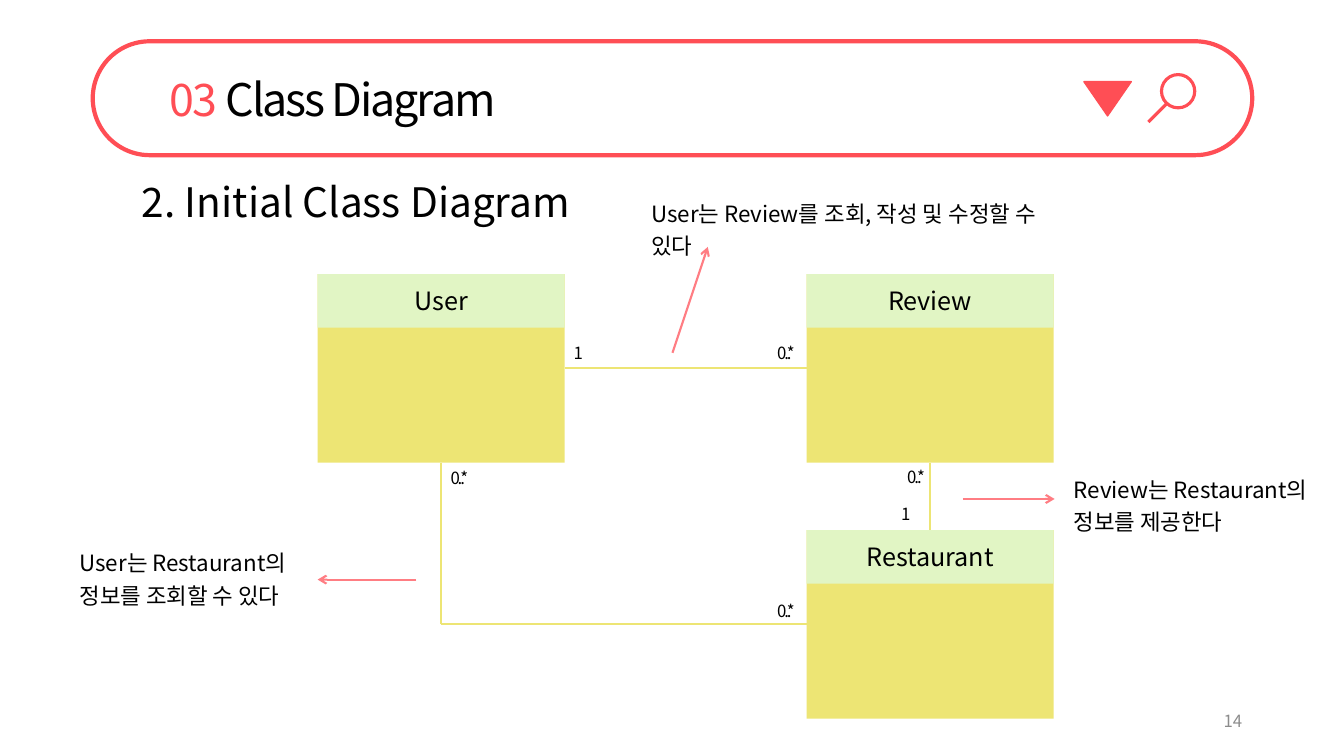
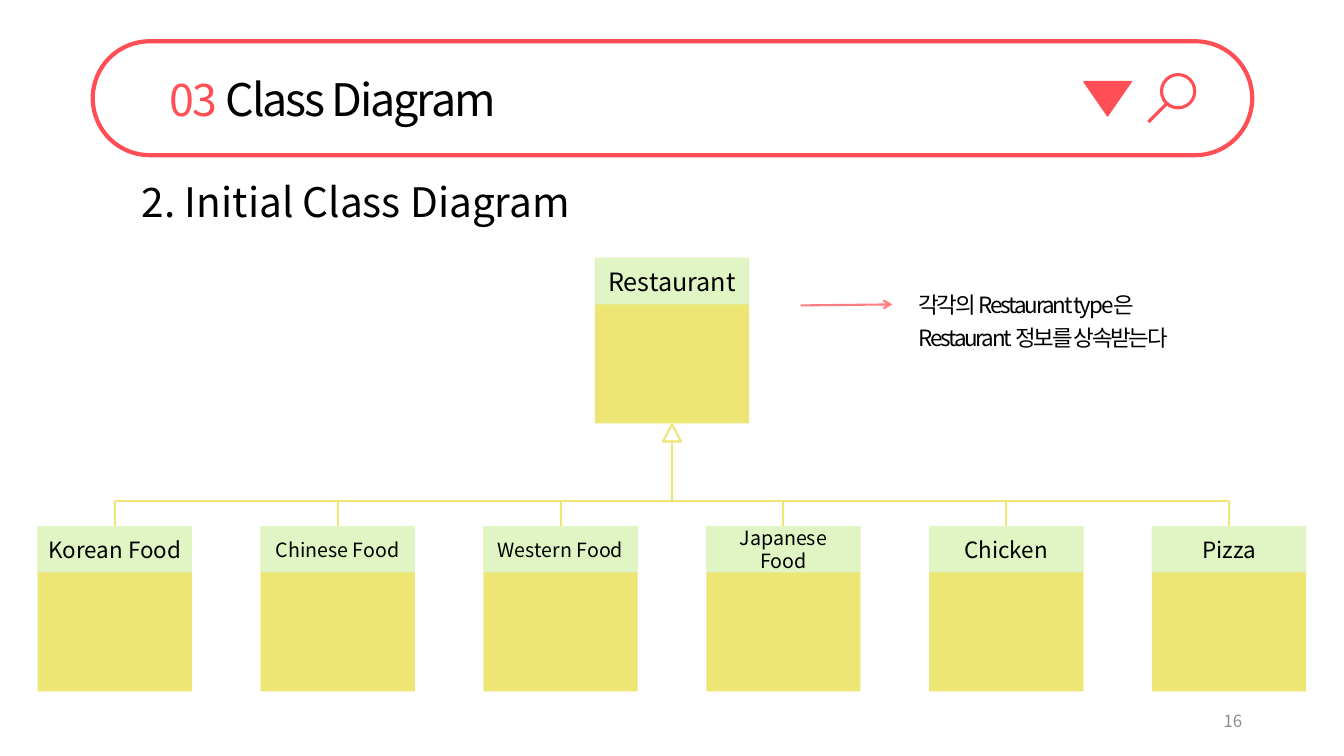
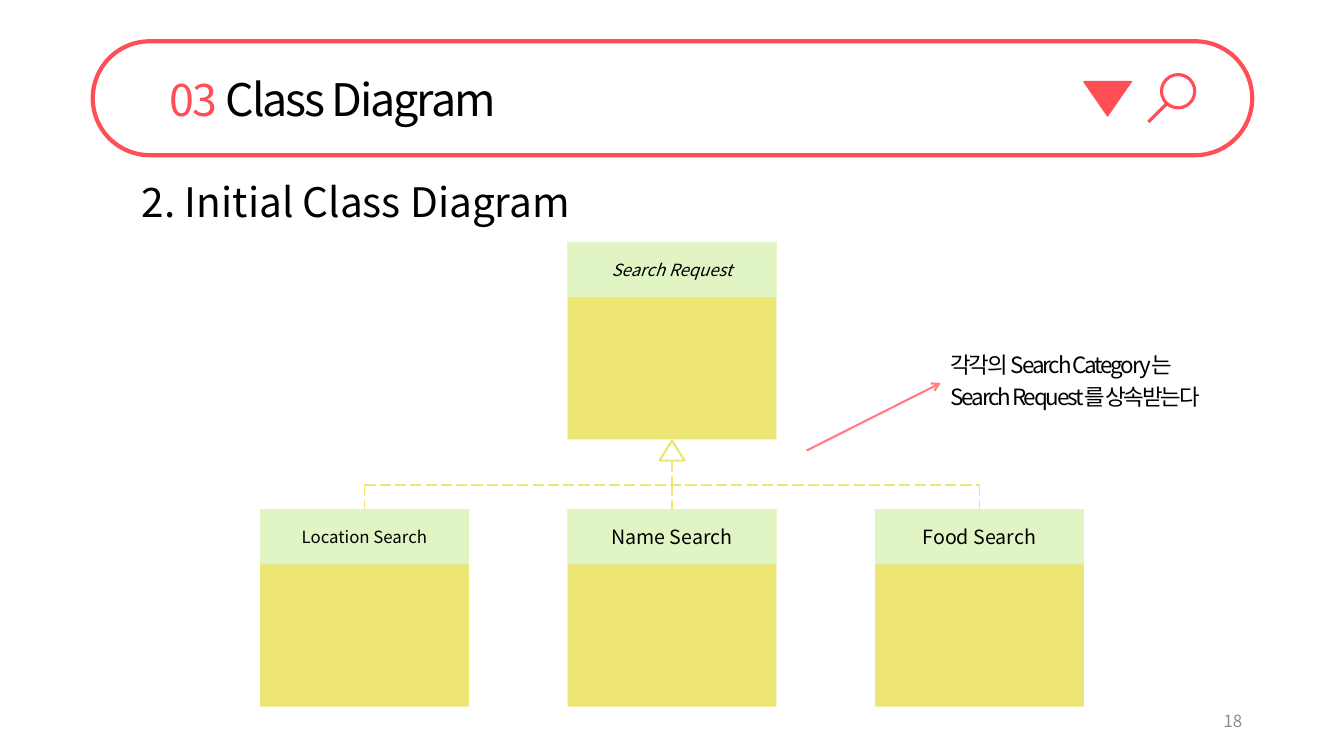
from lxml import etree
from pptx import Presentation
from pptx.dml.color import RGBColor
from pptx.enum.dml import MSO_LINE_DASH_STYLE as DASH
from pptx.enum.shapes import MSO_CONNECTOR, MSO_SHAPE as SHAPE
from pptx.enum.text import MSO_ANCHOR as ANCHOR, PP_ALIGN as ALIGN
from pptx.oxml.ns import qn
from pptx.util import Inches, Pt

W, H = 13.33, 7.5
FONT = "Noto Sans CJK KR"
RED, PINK, GREY, BLACK = "FF4E55", "FF7D83", "8C8C8C", "000000"
YELLOW, GREEN = "EDE574", "E1F5C4"
TIGHT = -1.5

# Content
CHAPTER, TITLE = "03", " Class Diagram"
HEADING = "2. Initial Class Diagram"

COLS, ROWS = (3.15, 8), (2.72, 5.26)
BOX_W, BOX_H, BOX_HEAD = 2.45, 1.87, 0.53
CLASSES = [("User", 0, 0), ("Review", 1, 0), ("Restaurant", 1, 1)]  # name, column, row
MULTIPLICITIES = [  # text, left, top
    ("1", 5.59, 3.35), ("0..*", 7.61, 3.35), ("0..*", 4.37, 4.59),
    ("0..*", 7.61, 5.91), ("0..*", 8.9, 4.58), ("1", 8.84, 4.95),
]
RELATIONS = [  # text, box, arrow from, arrow to
    ("User는 Review를 조회, 작성 및 수정할 수 있다",
     (6.36, 1.88, 4.39, 0.68), (6.67, 3.5), (7.02, 2.45)),
    ("Review는 Restaurant의 정보를 제공한다",
     (10.55, 4.62, 2.61, 0.81), (9.55, 4.95), (10.46, 4.95)),
    ("User는 Restaurant의 정보를 조회할 수 있다",
     (0.69, 5.35, 2.45, 0.8), (4.13, 5.75), (3.15, 5.75)),
]

TREES = [
    dict(page=16, parent=("Restaurant", 18), italic=False,
         children=[("Korean Food", 16), ("Chinese Food", 14), ("Western Food", 14),
                   ("Japanese Food", 14), ("Chicken", 16), ("Pizza", 16)],
         box=(1.53, 1.64, 0.46), tops=(2.56, 5.22), pitch=2.21, bar=4.97,
         tip=(0.18, 0.17), line=dict(width=1.5),
         note=("각각의 Restaurant type은 Restaurant 정보를 상속받는다",
               (9.01, 2.79, 2.84, 0.75), (7.94, 3.03), (8.85, 3.02))),
    dict(page=18, parent=("Search Request", 12), italic=True,
         children=[("Location Search", 12), ("Name Search", 14), ("Food Search", 14)],
         box=(2.07, 1.96, 0.55), tops=(2.4, 5.05), pitch=3.05, bar=4.81,
         tip=(0.25, 0.2), line=dict(width=1, dash=True),
         note=("각각의 Search Category는 Search Request를 상속받는다",
               (9.33, 3.38, 2.84, 0.75), (8, 4.47), (9.33, 3.8))),
]


# Helpers
def rgb(color):
    return RGBColor.from_string(color)


def write(sp, text, size=16, color=BLACK, align=ALIGN.LEFT, anchor=ANCHOR.TOP,
          spacing=None, italic=False, leading=None):
    """Add one run of text to the shape's first paragraph."""
    tf = sp.text_frame
    tf.word_wrap, tf.vertical_anchor = True, anchor
    p = tf.paragraphs[0]
    p.alignment = align
    if leading:
        p.line_spacing = leading
    r = p.add_run()
    r.text = text
    r.font.size, r.font.name, r.font.italic = Pt(size), FONT, italic
    r.font.color.rgb = rgb(color)
    rPr = r.font._element
    etree.SubElement(rPr, qn("a:ea")).set("typeface", FONT)
    if spacing:
        rPr.set("spc", str(int(spacing * 100)))


def add_text(s, text, box, **fmt):
    sp = s.shapes.add_textbox(*map(Inches, box))
    write(sp, text, **fmt)


def add_shape(s, kind, box, fill=None, line=None, width=1.5):
    sp = s.shapes.add_shape(kind, *map(Inches, box))
    sp.shadow.inherit = False
    if fill:
        sp.fill.solid()
        sp.fill.fore_color.rgb = rgb(fill)
    else:
        sp.fill.background()
    if line:
        sp.line.color.rgb, sp.line.width = rgb(line), Pt(width)
    else:
        sp.line.fill.background()
    return sp


def add_route(s, *points, color=YELLOW, width=1.5, dash=False, arrow=False):
    """Join the points with straight lines."""
    for start, end in zip(points, points[1:]):
        c = s.shapes.add_connector(MSO_CONNECTOR.STRAIGHT, *map(Inches, start + end))
        c.line.color.rgb, c.line.width = rgb(color), Pt(width)
        if dash:
            c.line.dash_style = DASH.LONG_DASH
        if arrow:
            ln = c.line._get_or_add_ln()
            etree.SubElement(ln, qn("a:tailEnd")).set("type", "arrow")
        etree.SubElement(c._element.spPr, qn("a:effectLst"))


def add_class(s, name, x, y, w, h, head, size=18, italic=False):
    add_shape(s, SHAPE.RECTANGLE, (x, y, w, h), fill=YELLOW)
    sp = add_shape(s, SHAPE.RECTANGLE, (x, y, w, head), fill=GREEN)
    write(sp, name, size=size, italic=italic, align=ALIGN.CENTER, anchor=ANCHOR.MIDDLE)


def add_note(s, text, box, start, end, spacing=None):
    add_text(s, text, box, leading=1.2, spacing=spacing)
    add_route(s, start, end, color=PINK, arrow=True)


def add_page(prs, number):
    """Blank slide with the search bar, heading and page number."""
    s = prs.slides.add_slide(prs.slide_layouts[6])
    add_text(s, str(number), (9.42, 6.95, 3, 0.4), size=12, color=GREY,
             align=ALIGN.RIGHT, anchor=ANCHOR.MIDDLE)
    bar = add_shape(s, SHAPE.ROUNDED_RECTANGLE, (0.92, 0.41, 11.5, 1.13), line=RED, width=3)
    bar.adjustments[0] = 0.5
    bar.text_frame.margin_left = Inches(0.6)
    for text, color in ((CHAPTER, RED), (TITLE, BLACK)):
        write(bar, text, size=32, color=color, spacing=TIGHT, anchor=ANCHOR.MIDDLE)
    add_shape(s, SHAPE.OVAL, (11.52, 0.74, 0.33, 0.33), line=RED, width=2.25)
    add_route(s, (11.57, 1.03), (11.39, 1.21), color=RED, width=2.25)
    arrow = add_shape(s, SHAPE.ISOSCELES_TRIANGLE, (10.75, 0.81, 0.47, 0.34),
                      fill=RED, line=RED, width=1)
    arrow.rotation = 180
    add_text(s, HEADING, (1.31, 1.61, 10.56, 0.95), size=29, leading=1.2)
    return s


# Slide kinds
def add_relations(prs):
    s = add_page(prs, 14)
    for name, col, row in CLASSES:
        add_class(s, name, COLS[col], ROWS[row], BOX_W, BOX_H, BOX_HEAD)
    left_mid, right_mid = (x + BOX_W / 2 for x in COLS)
    top_mid, low_mid = (y + BOX_H / 2 for y in ROWS)
    bottom = ROWS[0] + BOX_H
    add_route(s, (COLS[0] + BOX_W, top_mid), (COLS[1], top_mid))
    add_route(s, (right_mid, bottom), (right_mid, ROWS[1]))
    add_route(s, (left_mid, bottom), (left_mid, low_mid), (COLS[1], low_mid))
    for text, x, y in MULTIPLICITIES:
        add_text(s, text, (x, y, 0.5, 0.3), size=12, spacing=TIGHT)
    for relation in RELATIONS:
        add_note(s, *relation)


def add_tree(prs, page, parent, italic, children, box, tops, pitch, bar, tip, line, note):
    s = add_page(prs, page)
    w, h, head = box
    mid = W / 2
    name, size = parent
    add_class(s, name, mid - w / 2, tops[0], *box, size=size, italic=italic)

    # Hollow tip below the parent, then stem and crossbar
    tip_w, tip_h = tip
    tip_top = tops[0] + h + 0.01
    add_shape(s, SHAPE.ISOSCELES_TRIANGLE, (mid - tip_w / 2, tip_top, tip_w, tip_h), line=YELLOW)
    add_route(s, (mid, tip_top + tip_h), (mid, bar), **line)
    centres = [mid + (i - (len(children) - 1) / 2) * pitch for i in range(len(children))]
    add_route(s, (centres[0], bar), (centres[-1], bar), **line)

    for (name, size), x in zip(children, centres):
        add_class(s, name, x - w / 2, tops[1], *box, size=size)
        add_route(s, (x, bar), (x, tops[1]), **line)
    add_note(s, *note, spacing=TIGHT)


def main():
    prs = Presentation()
    prs.slide_width, prs.slide_height = Inches(W), Inches(H)
    add_relations(prs)
    for tree in TREES:
        add_tree(prs, **tree)
    prs.save("out.pptx")


if __name__ == "__main__":
    main()
